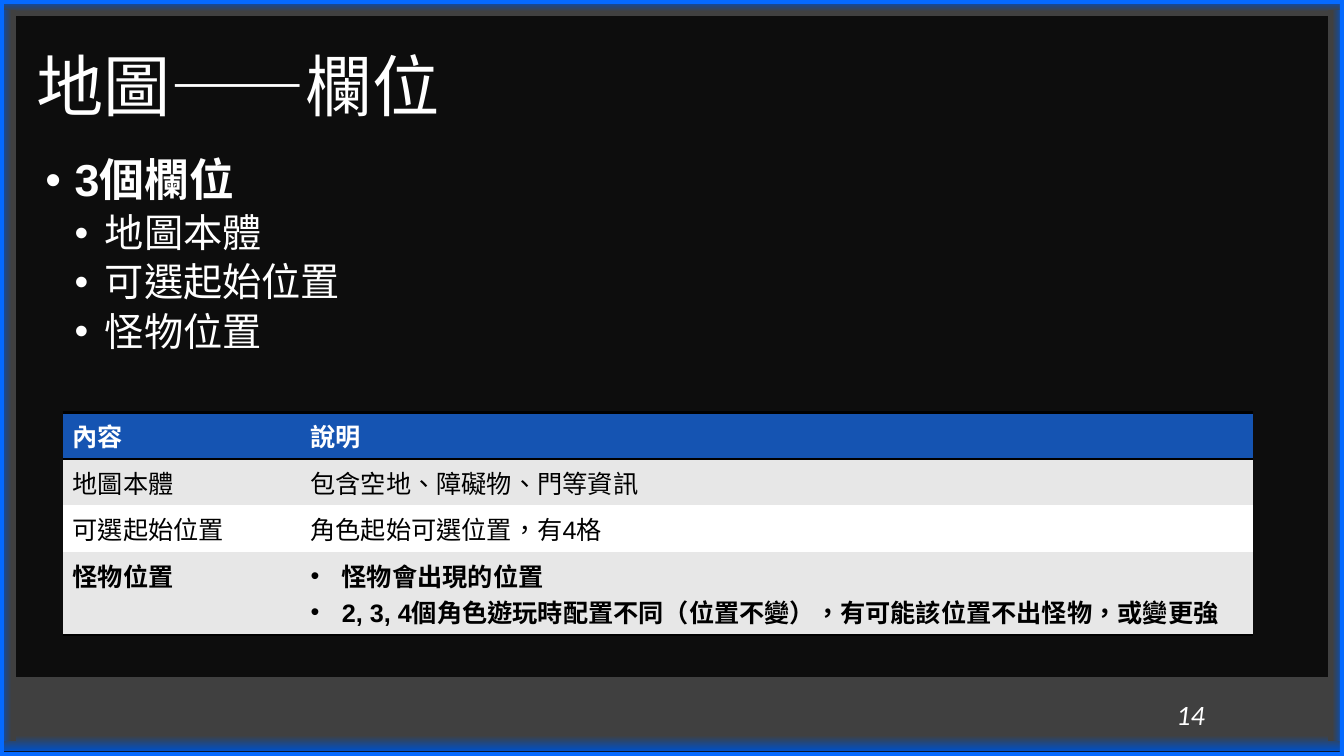
import pptx
import pptx.dml.color
import pptx.enum.shapes
import pptx.enum.text
import pptx.oxml
import pptx.oxml.ns
import pptx.util

Inches = pptx.util.Inches
Pt = pptx.util.Pt
MSO_ANCHOR = pptx.enum.text.MSO_ANCHOR

CJK_FONT = "Noto Sans CJK SC"
WHITE, BLACK, GREY = "FFFFFF", "000000", "E7E7E7"
WIDTH, HEIGHT, EDGE = 13.33, 7.5, 0.04
NO_TABLE_STYLE = "{2D5ABB26-0587-4C30-8999-92F81FD0307C}"


def rgb(color):
    return pptx.dml.color.RGBColor.from_string(color)


def add_xml(parent, tag, **attrs):
    child = pptx.oxml.parse_xml(f"<{tag} {pptx.oxml.ns.nsdecls('a')}/>")
    for name, value in attrs.items():
        child.set(name, str(value))
    parent.append(child)
    return child


def format_runs(p, size, color, font="Arial", bold=False, italic=False):
    for r in p.runs:
        r.font.size, r.font.name = Pt(size), font
        r.font.bold, r.font.italic = bold, italic
        r.font.color.rgb = rgb(color)
        rPr = r.font._element
        rPr.set("lang", "zh-TW")
        add_xml(rPr, "a:ea", typeface=CJK_FONT)


def set_bullet(p, left, hanging):
    pPr = p._p.get_or_add_pPr()
    pPr.set("marL", str(Inches(left)))
    pPr.set("indent", str(-Inches(hanging)))
    add_xml(pPr, "a:buFont", typeface="Arial")
    add_xml(pPr, "a:buChar", char="•")


def place(shape, left, top, width, height):
    shape.left, shape.top = Inches(left), Inches(top)
    shape.width, shape.height = Inches(width), Inches(height)


def prepare_frame(tf, anchor):
    tf.margin_left = tf.margin_right = tf.margin_top = tf.margin_bottom = 0
    tf.word_wrap = True
    tf.auto_size = pptx.enum.text.MSO_AUTO_SIZE.NONE
    tf.vertical_anchor = anchor


def add_band(s, box, angle, grey_at):
    """Add a border band fading from blue to grey; angle is counter-clockwise."""
    sp = s.shapes.add_shape(
        pptx.enum.shapes.MSO_SHAPE.RECTANGLE, *[Inches(v) for v in box])
    sp.shadow.inherit = False
    sp.line.fill.background()
    sp.fill.gradient()
    sp.fill.gradient_angle = angle
    stops = zip(sp.fill.gradient_stops, ("004FC3", "404040"), (0, grey_at))
    for stop, color, position in stops:
        stop.color.rgb = rgb(color)
        stop.position = position
    return sp


def add_frame(s):
    def corners(inset):
        right, bottom = WIDTH - inset, HEIGHT - inset
        points = [(inset, inset), (right, inset), (right, bottom), (inset, bottom)]
        return [(Inches(x), Inches(y)) for x, y in points]

    outer, inner = corners(0), corners(EDGE)[::-1]
    builder = s.shapes.build_freeform(*outer[0])
    builder.add_line_segments(outer[1:], close=True)
    builder.move_to(*inner[0])
    builder.add_line_segments(inner[1:], close=True)
    sp = builder.convert_to_shape()
    sp.shadow.inherit = False
    sp.fill.solid()
    sp.fill.fore_color.rgb = rgb("056AFF")
    sp.line.fill.background()


def add_page_number(band, number):
    tf = band.text_frame
    prepare_frame(tf, MSO_ANCHOR.MIDDLE)
    tf.margin_right = Inches(1.38)
    tf.text = number
    p = tf.paragraphs[0]
    p.alignment = pptx.enum.text.PP_ALIGN.RIGHT
    format_runs(p, 20, WHITE, font="Calibri", italic=True)


def fill_title(title, text):
    place(title, 0.36, 0.35, 12.4, 1.08)
    tf = title.text_frame
    prepare_frame(tf, MSO_ANCHOR.MIDDLE)
    tf.text = text
    p = tf.paragraphs[0]
    p.alignment = pptx.enum.text.PP_ALIGN.LEFT
    p.line_spacing = 0.9
    format_runs(p, 48, WHITE, font=CJK_FONT)


def fill_body(body, heading, items):
    place(body, 0.45, 1.57, 11.81, 5.16)
    tf = body.text_frame
    prepare_frame(tf, MSO_ANCHOR.TOP)
    tf.text = "\n".join([heading, *items])
    for i, p in enumerate(tf.paragraphs):
        p.level = min(i, 1)
        p.line_spacing = 0.9
        p.space_before = Pt(5 if i else 0)
        if i:
            set_bullet(p, 0.59, 0.3)
            format_runs(p, 28, WHITE)
        else:
            set_bullet(p, 0.29, 0.29)
            format_runs(p, 32, WHITE, bold=True)


def add_border(cell, side):
    line = add_xml(cell._tc.get_or_add_tcPr(), f"a:{side}", w=Pt(2))
    add_xml(add_xml(line, "a:solidFill"), "a:srgbClr", val=BLACK)


def add_field_table(s, rows):
    frame = s.shapes.add_table(
        len(rows), 2, Inches(0.62), Inches(4.09), Inches(11.81), Inches(1.64))
    table = frame.table
    table._tbl.tblPr.find(pptx.oxml.ns.qn("a:tableStyleId")).text = NO_TABLE_STYLE
    for column, width in zip(table.columns, (2.36, 9.45)):
        column.width = Inches(width)
    last = len(rows) - 1
    for i, row in enumerate(rows):
        table.rows[i].height = Inches(0.41)
        fill = "1554B2" if i == 0 else GREY if i % 2 else WHITE
        for j, text in enumerate(row):
            cell = table.cell(i, j)
            cell.text = text
            if i == 0:
                add_border(cell, "lnT")
            if i in (0, last):
                add_border(cell, "lnB")
            cell.fill.solid()
            cell.fill.fore_color.rgb = rgb(fill)
            paragraphs = cell.text_frame.paragraphs
            for p in paragraphs:
                if len(paragraphs) > 1:
                    set_bullet(p, 0.31, 0.31)
                format_runs(p, 18, BLACK if i else WHITE, bold=i in (0, last))


def main():
    prs = pptx.Presentation()
    prs.slide_width, prs.slide_height = Inches(WIDTH), Inches(HEIGHT)
    s = prs.slides.add_slide(prs.slide_layouts[1])
    s.background.fill.solid()
    s.background.fill.fore_color.rgb = rgb("0D0D0D")
    title, body = s.placeholders[0], s.placeholders[1]

    footer = add_band(s, (0, 6.72, WIDTH, 0.73), 90, 0.21)
    add_page_number(footer, "14")
    add_band(s, (0, 0, WIDTH, 0.16), 270, 0.72)
    add_band(s, (0, 0.1, 0.16, 7.25), 0, 0.72)
    add_band(s, (13.17, 0.1, 0.16, 7.25), 180, 0.72)
    add_frame(s)

    fields = ["地圖本體", "可選起始位置", "怪物位置"]
    notes = [
        "包含空地、障礙物、門等資訊",
        "角色起始可選位置，有4格",
        "怪物會出現的位置\n"
        "2, 3, 4個角色遊玩時配置不同（位置不變），有可能該位置不出怪物，或變更強",
    ]
    fill_title(title, "地圖——欄位")
    fill_body(body, "3個欄位", fields)
    add_field_table(s, [("內容", "說明"), *zip(fields, notes)])
    prs.save("out.pptx")


if __name__ == "__main__":
    main()
